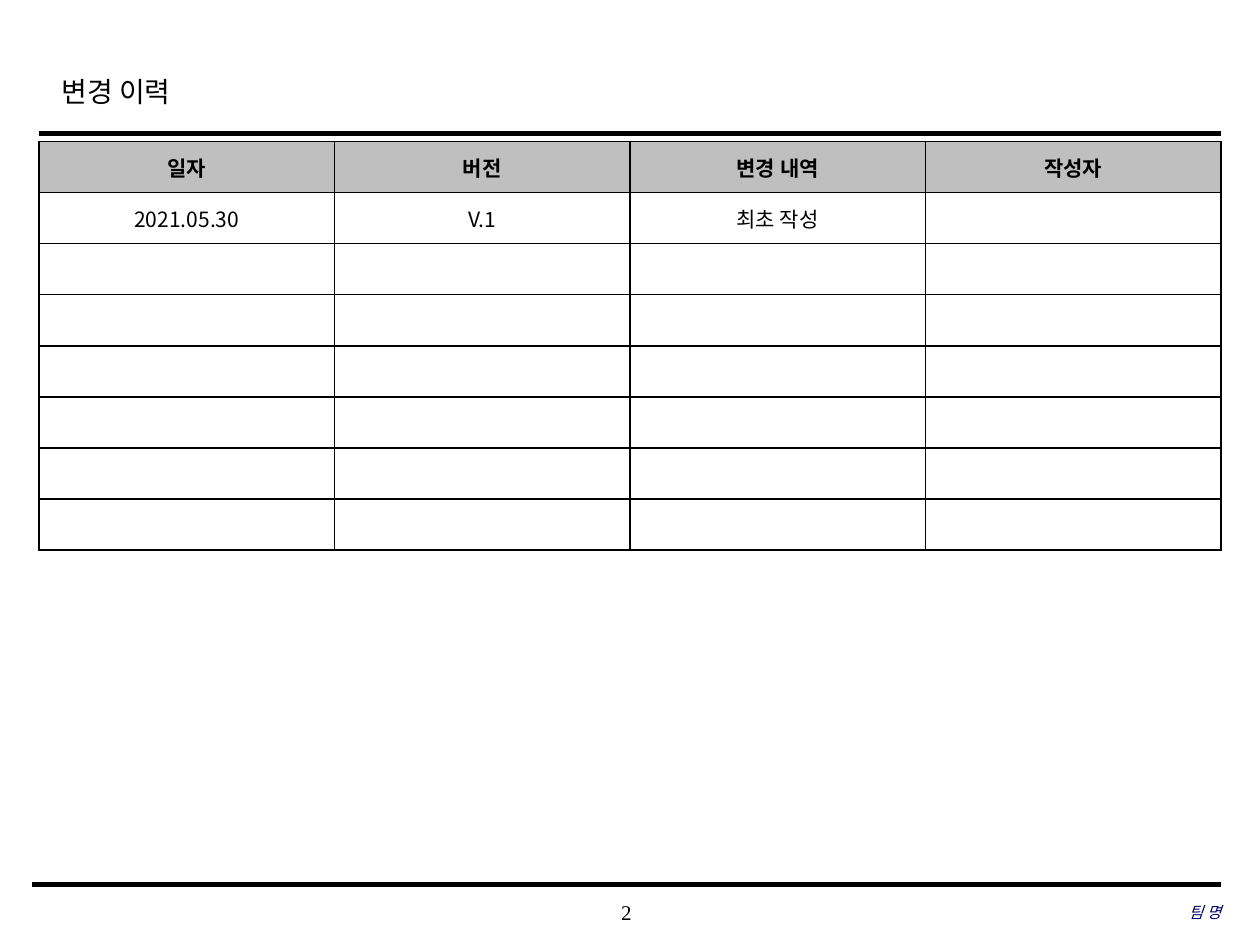
import pptx
import pptx.dml.color
import pptx.enum.shapes
import pptx.enum.text
import pptx.oxml
import pptx.oxml.ns
import pptx.util
from lxml import etree

Pt = pptx.util.Pt
RGBColor = pptx.dml.color.RGBColor
ALIGN = pptx.enum.text.PP_ALIGN
ANCHOR = pptx.enum.text.MSO_ANCHOR
qn = pptx.oxml.ns.qn

BLACK = RGBColor(0x00, 0x00, 0x00)
WHITE = RGBColor(0xFF, 0xFF, 0xFF)
GRAY = RGBColor(0xBF, 0xBF, 0xBF)
NAVY = RGBColor(0x00, 0x00, 0x66)
SERIF = "Times New Roman"
KOREAN = "Noto Sans CJK KR"

LEFT, RIGHT = 22.3, 697.7
ROWS, ROW_HEIGHT = 8, 29.2
HISTORY = [
    ["일자", "버전", "변경 내역", "작성자"],
    ["2021.05.30", "V.1", "최초 작성", ""],
]


def format_paragraph(p, size, name, color, align, bold=False, italic=False):
    """Set the font and alignment of a paragraph and its Korean typeface."""
    p.alignment = align
    p.font.size = Pt(size)
    p.font.name = name
    p.font.color.rgb = color
    p.font.bold = bold
    p.font.italic = italic
    for r in p.runs:
        etree.SubElement(r.font._element, qn("a:ea"), typeface=KOREAN)


def add_title(s, text):
    """Fill and place the title placeholder."""
    sp = s.shapes.title
    sp.left, sp.top, sp.width, sp.height = Pt(28), Pt(35.3), Pt(543.6), Pt(36)
    tf = sp.text_frame
    tf.text = text
    tf.vertical_anchor = ANCHOR.TOP
    p = tf.paragraphs[0]
    p.line_spacing = 1.2
    format_paragraph(p, 16, SERIF, BLACK, ALIGN.LEFT)


def add_rule(s, left, y, weight):
    """Draw a horizontal rule up to the right margin."""
    cxn = s.shapes.add_connector(
        pptx.enum.shapes.MSO_CONNECTOR.STRAIGHT,
        Pt(left), Pt(y), Pt(RIGHT), Pt(y))
    cxn.line.color.rgb = BLACK
    cxn.line.width = Pt(weight)
    etree.SubElement(cxn._element.spPr, qn("a:effectLst"))


def add_footer(s, text, left, width, size, color, align, italic=False):
    """Add a footer text box without insets."""
    sp = s.shapes.add_textbox(Pt(left), Pt(509.4), Pt(width), Pt(23.8))
    tf = sp.text_frame
    tf.word_wrap = True
    tf.margin_left = tf.margin_right = tf.margin_top = tf.margin_bottom = 0
    tf.vertical_anchor = ANCHOR.MIDDLE
    tf.text = text
    format_paragraph(tf.paragraphs[0], size, SERIF, color, align, italic=italic)


def set_borders(cell):
    """Put a thin black border on every side of a cell."""
    tcPr = cell._tc.get_or_add_tcPr()
    for i, side in enumerate(("a:lnL", "a:lnR", "a:lnT", "a:lnB")):
        ln = etree.Element(qn(side), w=str(Pt(1)))
        fill = etree.SubElement(ln, qn("a:solidFill"))
        etree.SubElement(fill, qn("a:srgbClr"), val=str(BLACK))
        tcPr.insert(i, ln)


def add_history_table(s):
    """Add the change history table with blank rows below the entries."""
    cols = len(HISTORY[0])
    table = s.shapes.add_table(
        ROWS, cols, Pt(LEFT), Pt(80.8),
        Pt(RIGHT - LEFT), Pt(ROWS * ROW_HEIGHT)).table
    table.horz_banding = False
    for row in table.rows:
        row.height = Pt(ROW_HEIGHT)
    for i in range(ROWS):
        for j in range(cols):
            cell = table.cell(i, j)
            if i < len(HISTORY) and HISTORY[i][j]:
                cell.text = HISTORY[i][j]
            cell.vertical_anchor = ANCHOR.MIDDLE
            cell.fill.solid()
            cell.fill.fore_color.rgb = WHITE if i else GRAY
            set_borders(cell)
            format_paragraph(cell.text_frame.paragraphs[0], 12, KOREAN,
                             BLACK, ALIGN.CENTER, bold=i == 0)


def main():
    """Build the change history slide."""
    prs = pptx.Presentation()
    prs.slide_width, prs.slide_height = Pt(720), Pt(540)
    s = prs.slides.add_slide(prs.slide_layouts[5])
    add_title(s, "변경 이력")
    add_rule(s, LEFT, 76.3, 2.5)
    add_rule(s, 18, 505.4, 3)
    add_footer(s, "2", 283, 149.8, 12, BLACK, ALIGN.CENTER)
    add_footer(s, "팀 명", 477.4, 220.3, 9, NAVY, ALIGN.RIGHT, italic=True)
    add_history_table(s)
    prs.save("out.pptx")


main()
